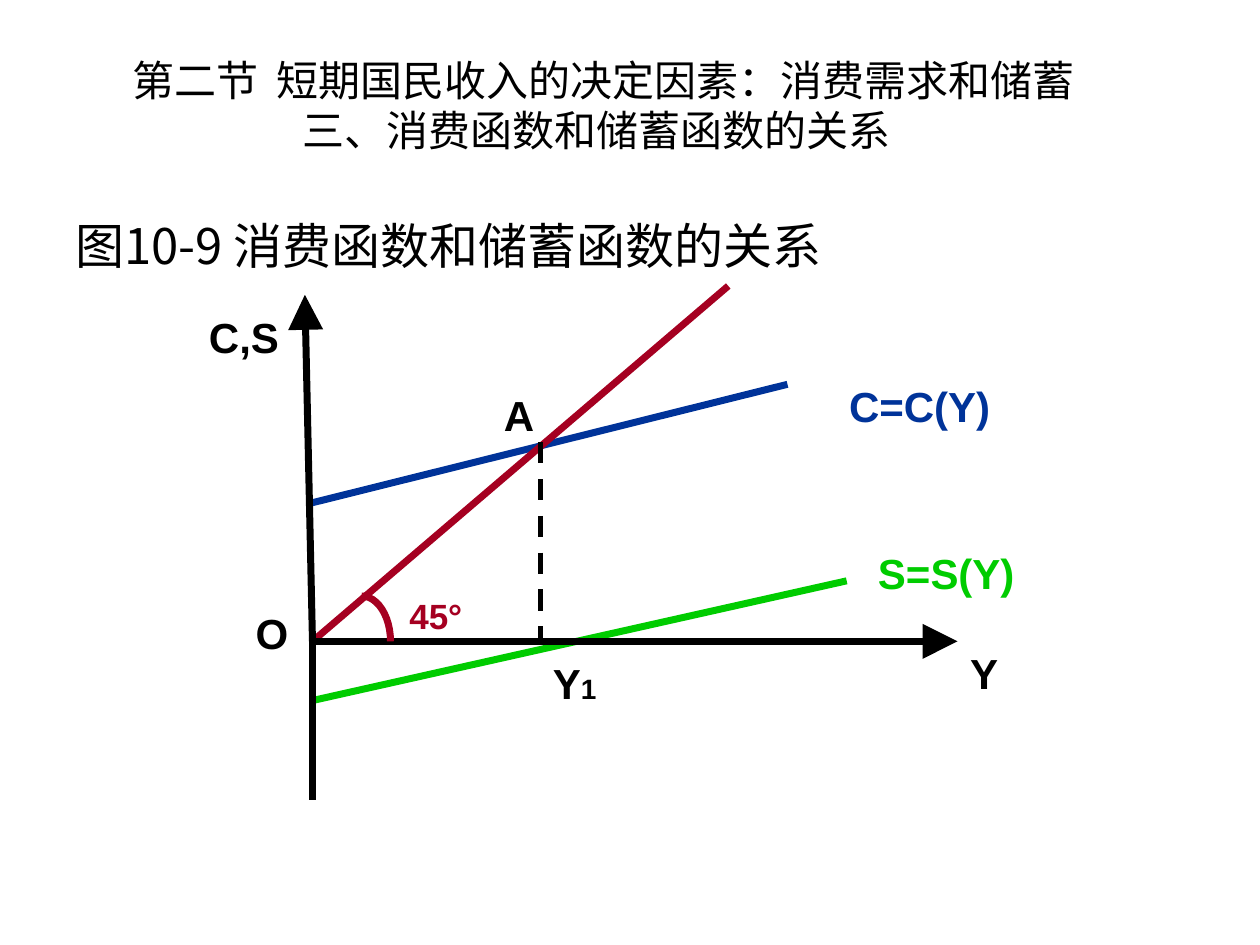
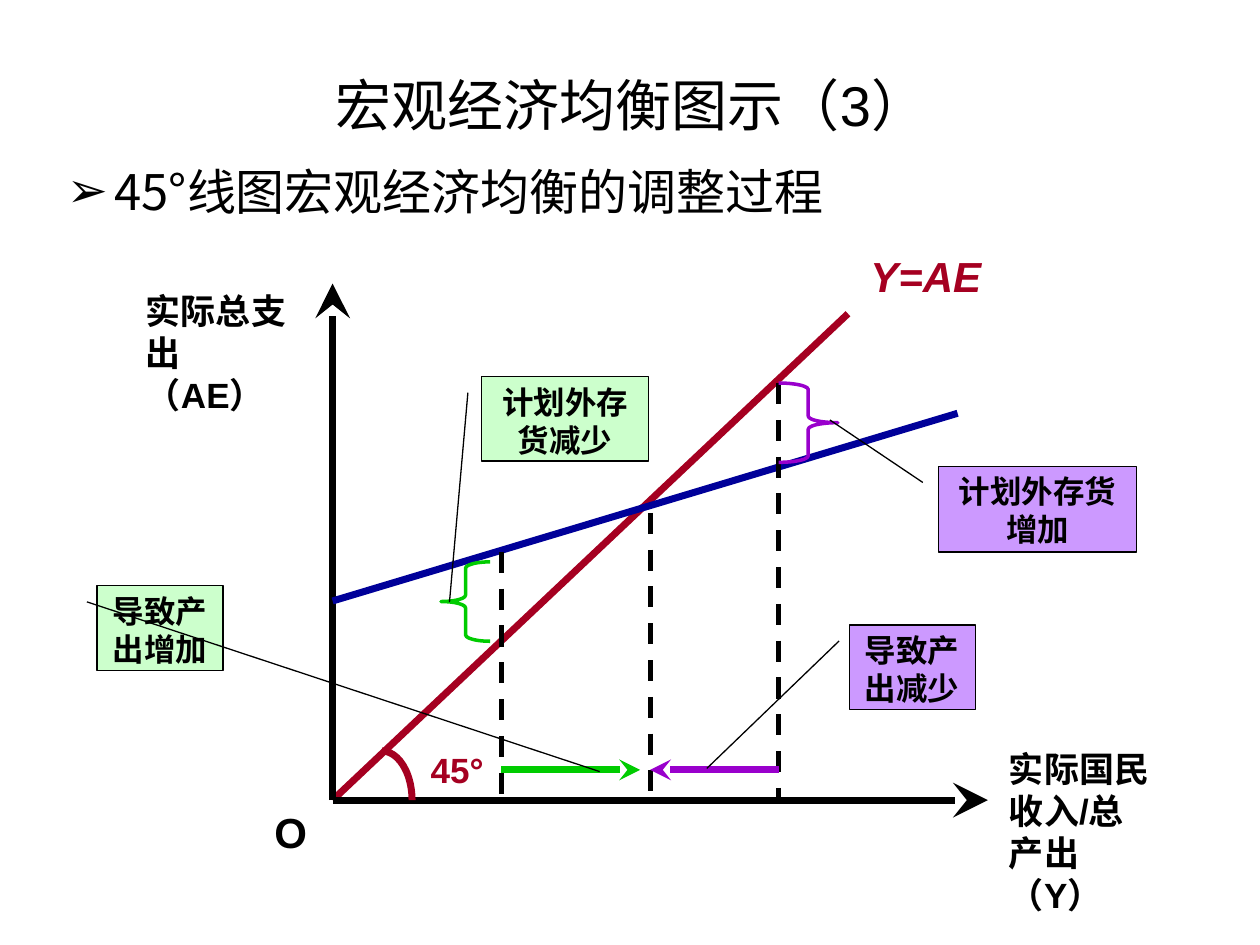
"""Build two slides on consumption, saving and the 45° line."""
from lxml.etree import SubElement
from pptx import Presentation
from pptx.dml.color import RGBColor
from pptx.enum.dml import MSO_LINE
from pptx.enum.shapes import MSO_CONNECTOR, MSO_SHAPE
from pptx.enum.text import MSO_ANCHOR, MSO_AUTO_SIZE, PP_ALIGN
from pptx.oxml.ns import qn
from pptx.util import Inches, Pt

BLACK = RGBColor(0x00, 0x00, 0x00)
RED = RGBColor(0xA5, 0x00, 0x21)
BLUE = RGBColor(0x00, 0x33, 0x99)
NAVY = RGBColor(0x00, 0x00, 0x99)
GREEN = RGBColor(0x00, 0xCC, 0x00)
PURPLE = RGBColor(0x99, 0x00, 0xCC)
MINT = RGBColor(0xCC, 0xFF, 0xCC)
LILAC = RGBColor(0xCC, 0x99, 0xFF)
HAN = "Noto Sans CJK SC"
LABEL = {"name": "Arial", "bold": True}
HEAD = {"name": HAN, "bold": False}
LEFT, MID = PP_ALIGN.LEFT, PP_ALIGN.CENTER


def put(para, text, size, color=BLACK, **form):
    """Add a run of text to a paragraph."""
    run = para.add_run()
    run.text = text
    for key, val in {**LABEL, "size": Pt(size), **form}.items():
        setattr(run.font, key, val)
    run.font.color.rgb = color
    SubElement(run._r.get_or_add_rPr(), qn("a:ea"), typeface=HAN)


def draw(slide, ends, color=BLACK, width=4, tip=None, span="med"):
    """Draw a straight line, with an arrowhead if a tip is named."""
    line = slide.shapes.add_connector(MSO_CONNECTOR.STRAIGHT, *map(Inches, ends))
    line.line.color.rgb = color
    line.line.width = Pt(width)
    if width == 3:
        line.line.dash_style = MSO_LINE.DASH
    if tip:
        SubElement(line.line._get_or_add_ln(), qn("a:tailEnd"), type=tip, w=span, len=span)
    SubElement(line._element.spPr, qn("a:effectLst"))


deck = Presentation()
deck.slide_width, deck.slide_height = Inches(10), Inches(7.5)
first = deck.slides.add_slide(deck.slide_layouts[5])
second = deck.slides.add_slide(deck.slide_layouts[1])
body = second.placeholders[1]

for shape, box, text, size, side, name, anchor in (
    (first.shapes.title, (0.5, 1.47, 9, 0.94), "图10-9 消费函数和储蓄函数的关系", 28, LEFT, HAN, MSO_ANCHOR.MIDDLE),
    (second.shapes.title, (0.51, 0.36, 9, 0.94), "宏观经济均衡图示（3）", 32, MID, "Arial", MSO_ANCHOR.MIDDLE),
    (body, (0.43, 1.23, 9, 5.98), "45°线图宏观经济均衡的调整过程", 28, LEFT, HAN, MSO_ANCHOR.TOP),
):
    shape.left, shape.top, shape.width, shape.height = map(Inches, box)
    frame = shape.text_frame
    frame.auto_size = MSO_AUTO_SIZE.NONE
    frame.vertical_anchor = anchor
    para = frame.paragraphs[0]
    para.alignment = side
    para.space_before = Pt(0)
    put(para, text, size, name=name, bold=False)

props = body.text_frame.paragraphs[0]._p.get_or_add_pPr()
props.set("marL", str(Inches(0.38)))
props.set("indent", str(-Inches(0.38)))
SubElement(SubElement(props, qn("a:buClr")), qn("a:srgbClr"), val=str(BLACK))
SubElement(props, qn("a:buChar"), char="➢")

frame = first.shapes.add_textbox(*map(Inches, (0.5, 0.36, 9, 0.94))).text_frame
frame.word_wrap = True
frame.vertical_anchor = MSO_ANCHOR.MIDDLE
heads = (("第二节  短期国民收入的决定因素：消费需求和储蓄", 0.45), ("三、消费函数和储蓄函数的关系", 1.8))
for row, (text, indent) in enumerate(heads):
    para = frame.add_paragraph() if row else frame.paragraphs[0]
    para._p.get_or_add_pPr().set("marL", str(Inches(indent)))
    put(para, text, 24, **HEAD)

for ends, color in (
    ((2.48, 3.99, 6.25, 3.05), BLUE),
    ((2.48, 5.56, 6.72, 4.61), GREEN),
    ((2.48, 5.09, 5.78, 2.27), RED),
    ((2.48, 5.01, 2.48, 6.35), BLACK),
):
    draw(first, ends, color)
for end in ((2.42, 2.34), (7.6, 5.09)):
    draw(first, (2.48, 5.09, *end), tip="triangle", span="lg")
draw(first, (4.29, 3.51, 4.29, 5.09), width=3)

draw(second, (2.64, 6.35, 6.73, 2.49), RED)
for end in ((2.64, 2.25), (7.84, 6.35)):
    draw(second, (2.64, 6.35, *end), tip="stealth", span="lg")
draw(second, (2.64, 4.77, 7.6, 3.28), NAVY)
for left, top in ((6.18, 3.04), (3.98, 4.38), (5.16, 4.07)):
    draw(second, (left, top, left, 6.35), width=3)
for start, end, color in ((6.18, 5.16, PURPLE), (3.98, 5.08, GREEN)):
    draw(second, (start, 6.11, end, 6.11), color, tip="stealth")

for slide, kind, box, color, width, bend in (
    (first, MSO_SHAPE.ARC, (2.64, 4.73, 0.46, 0.72), RED, 4, None),
    (second, MSO_SHAPE.ARC, (2.79, 5.96, 0.48, 0.78), RED, 4, None),
    (second, MSO_SHAPE.RIGHT_BRACE, (6.18, 3.04, 0.47, 0.63), PURPLE, 2, 0.11),
    (second, MSO_SHAPE.LEFT_BRACE, (3.5, 4.46, 0.39, 0.63), GREEN, 2, 0.13),
):
    curve = slide.shapes.add_shape(kind, *map(Inches, box))
    curve.shadow.inherit = False
    curve.fill.background()
    curve.line.color.rgb = color
    curve.line.width = Pt(width)
    if bend:
        curve.adjustments[0] = bend

for text, box, fill, aim in (
    ("计划外存货增加", (7.45, 3.7, 1.57, 0.68), LILAC, (-0.54, -0.55)),
    ("导致产出减少", (6.74, 4.96, 1, 0.67), LILAC, (1.7, -1.13)),
    ("计划外存货减少", (3.82, 2.99, 1.33, 0.67), MINT, (2.67, -0.19)),
    ("导致产出增加", (0.77, 4.65, 1, 0.67), MINT, (2.2, 3.99)),
):
    note = second.shapes.add_shape(MSO_SHAPE.LINE_CALLOUT_1, *map(Inches, box))
    note.shadow.inherit = False
    for spot, val in enumerate((0.19, -0.08, *aim)):
        note.adjustments[spot] = val
    note.fill.solid()
    note.fill.fore_color.rgb = fill
    note.line.color.rgb = BLACK
    note.line.width = Pt(0.75)
    frame = note.text_frame
    frame.word_wrap = True
    frame.vertical_anchor = MSO_ANCHOR.TOP
    frame.paragraphs[0].alignment = MID
    put(frame.paragraphs[0], text, 18)

for slide, text, box, size, color in (
    (first, "C=C(Y)", (6.64, 2.97, 1.44, 0.5), 24, BLUE),
    (first, "S=S(Y)", (6.87, 4.3, 1.44, 0.5), 24, GREEN),
    (first, "45°", (3.15, 4.67, 0.88, 0.44), 20, RED),
    (first, "C,S", (1.56, 2.42, 1.02, 0.5), 24, BLACK),
    (first, "Y", (7.6, 5.09, 0.52, 0.5), 24, BLACK),
    (first, "O", (1.93, 4.77, 0.52, 0.5), 24, BLACK),
    (first, "A", (3.9, 3.04, 0.55, 0.5), 24, BLACK),
    (first, "Y1", (4.29, 5.17, 0.63, 0.5), 24, BLACK),
    (second, "45°", (3.32, 5.89, 0.89, 0.44), 20, RED),
    (second, "Y=AE", (6.81, 1.94, 1.13, 0.5), 24, RED),
    (second, "O", (2.08, 6.35, 0.47, 0.5), 24, BLACK),
    (second, "实际总支出（AE）", (1.06, 2.25, 1.34, 1.1), 20, BLACK),
    (second, "实际国民收入/总产出（Y）", (7.91, 5.88, 1.34, 1.44), 20, BLACK),
):
    frame = slide.shapes.add_textbox(*map(Inches, box)).text_frame
    frame.word_wrap = True
    para = frame.paragraphs[0]
    if text == "Y1":
        put(para, "Y", size)
        put(para, "1", 16)
    else:
        put(para, text, size, color, italic=text == "Y=AE")

deck.save("out.pptx")
